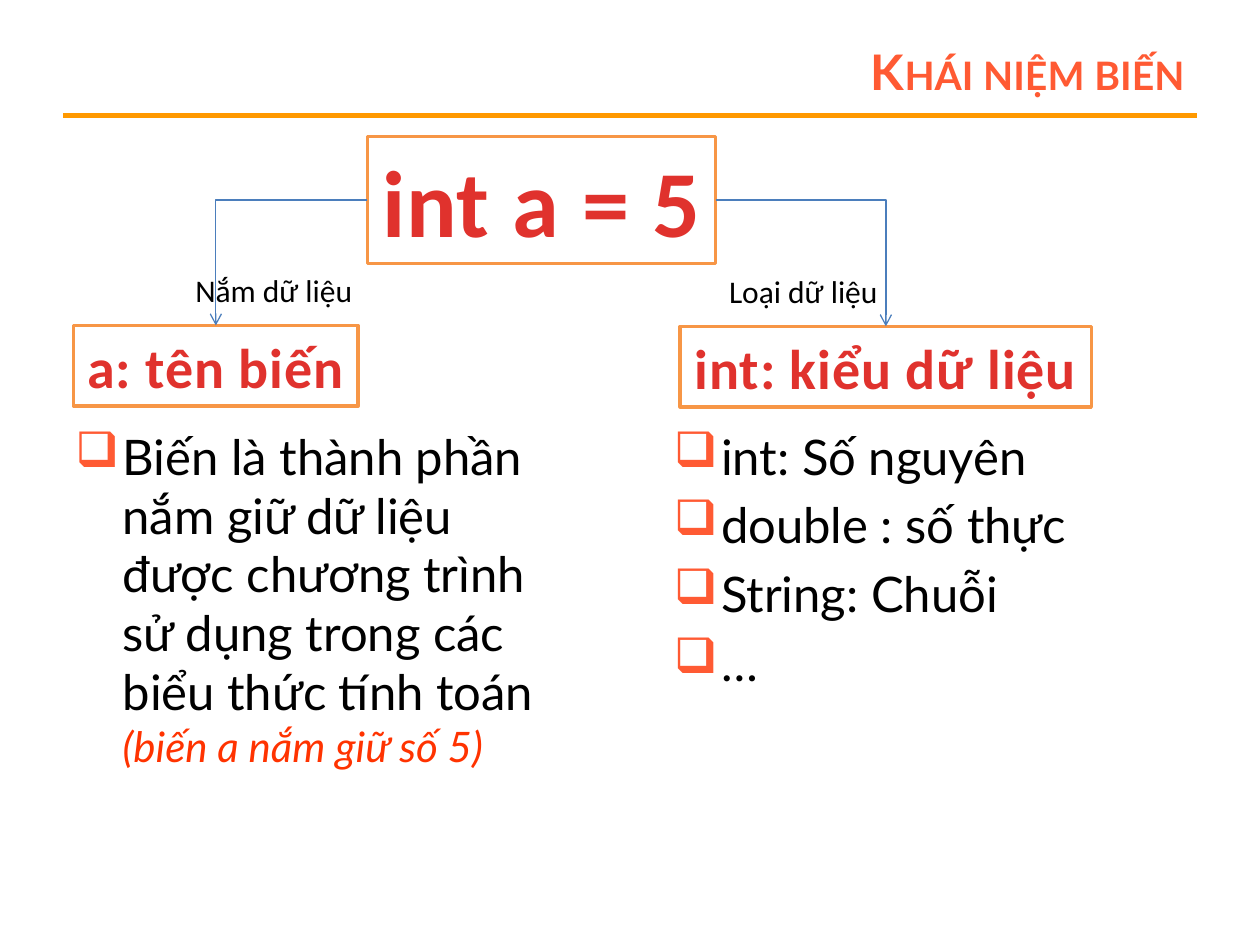
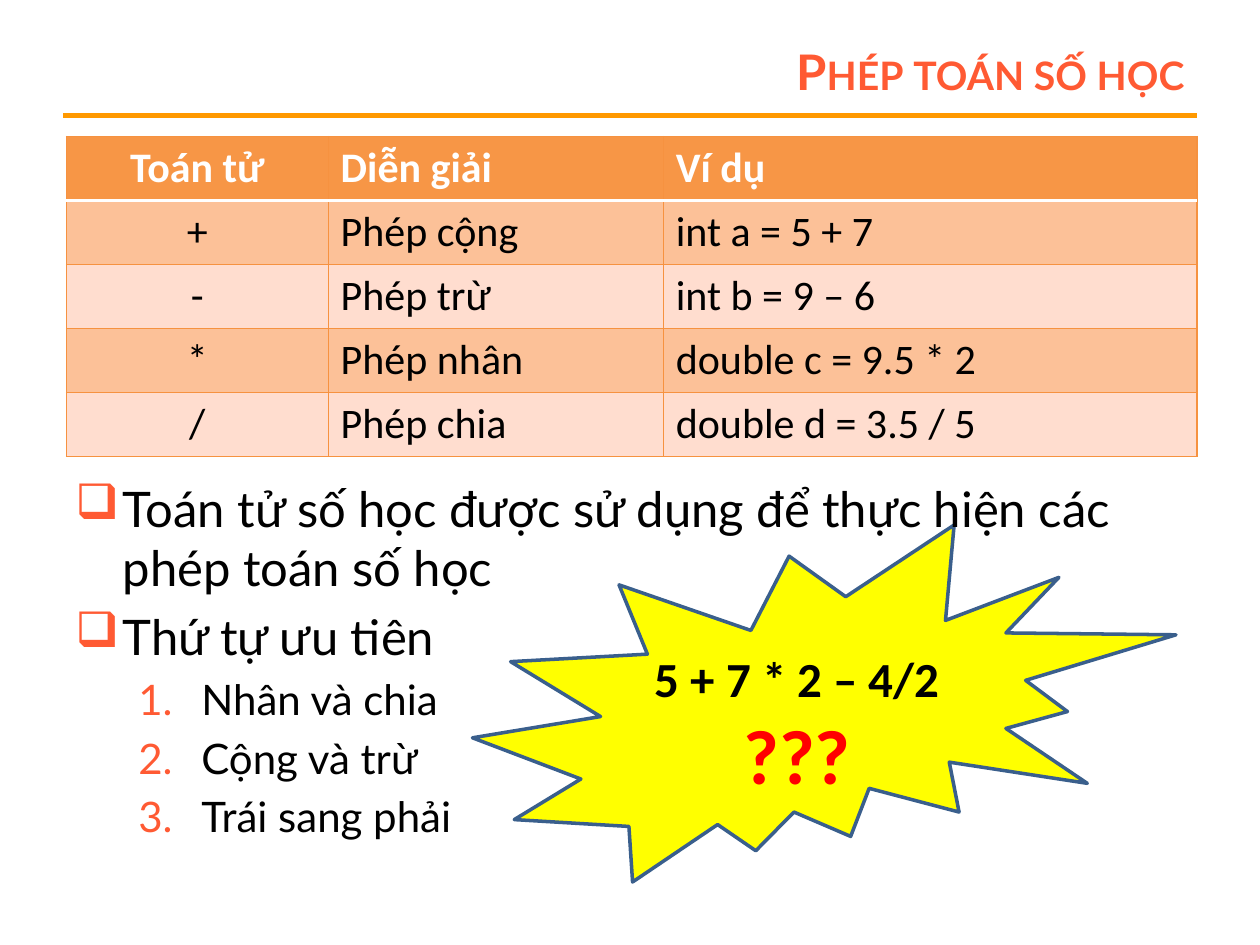
from dataclasses import dataclass
from typing import Any, Optional

import lxml.etree
import pptx
import pptx.dml.color
import pptx.enum.dml
import pptx.enum.shapes
import pptx.enum.text
import pptx.oxml
import pptx.oxml.ns
import pptx.util

Pt = pptx.util.Pt
qn = pptx.oxml.ns.qn
Align = pptx.enum.text.PP_ALIGN
Anchor = pptx.enum.text.MSO_ANCHOR
ShapeType = pptx.enum.shapes.MSO_SHAPE
ConnectorType = pptx.enum.shapes.MSO_CONNECTOR

COLORS = {
    "white": "FFFFFF",
    "black": "000000",
    "accent": "FF5A33",
    "rule": "FF9900",
    "note": "FF3300",
    "orange": "F79646",
    "code_light": "E0322D",
    "code_dark": "A2201C",
    "arrow": "4B7EBC",
    "burst": "FFFF00",
    "burst_line": "3A5F8C",
    "question": "FF0000",
    "grid": "F69240",
    "row_dark": "FCC198",
    "row_light": "FFDDCF",
}
BODY_FONT = "Lato"
BOX_FONT = "Calibri"
BODY_SIZE, SUB_SIZE = 28, 24
LEFT_SITE, RIGHT_SITE, TOP_SITE = 1, 3, 0


@dataclass(frozen=True)
class Area:
    left: float
    top: float
    width: float
    height: float

    def lengths(self) -> list[int]:
        return [Pt(n) for n in (self.left, self.top, self.width, self.height)]


@dataclass(frozen=True)
class Run:
    text: str
    size: float
    font: str = BODY_FONT
    color: str = "black"
    bold: bool = False
    italic: bool = False
    new_line: bool = False


@dataclass(frozen=True)
class Item:
    runs: tuple[Run, ...]
    numbered: bool = False


@dataclass(frozen=True)
class CodeBox:
    text: str
    area: Area
    size: float


def rgb(name: str) -> pptx.dml.color.RGBColor:
    return pptx.dml.color.RGBColor.from_string(COLORS[name])


def format_font(font: Any, style: Run) -> None:
    font.name = style.font
    font.size = Pt(style.size)
    font.bold = style.bold
    font.italic = style.italic
    font.color.rgb = rgb(style.color)


def fill_paragraph(paragraph: Any, runs: tuple[Run, ...]) -> None:
    for style in runs:
        if style.new_line:
            paragraph.add_line_break()
        run = paragraph.add_run()
        run.text = style.text
        format_font(run.font, style)


def add_text(slide: Any, area: Area, runs: tuple[Run, ...],
             align: Any = Align.LEFT, wrap: bool = False) -> Any:
    text_frame = slide.shapes.add_textbox(*area.lengths()).text_frame
    text_frame.word_wrap = wrap
    paragraph = text_frame.paragraphs[0]
    paragraph.alignment = align
    fill_paragraph(paragraph, runs)
    return text_frame


def add_line(slide: Any, kind: Any, ends: tuple[float, ...], color: str, width: float) -> Any:
    connector = slide.shapes.add_connector(kind, *[Pt(n) for n in ends])
    connector.line.color.rgb = rgb(color)
    connector.line.width = Pt(width)
    lxml.etree.SubElement(connector._element.spPr, qn("a:effectLst"))
    return connector


def add_filled_shape(slide: Any, kind: Any, area: Area, fill: str, line: str) -> Any:
    shape = slide.shapes.add_shape(kind, *area.lengths())
    shape.shadow.inherit = False
    shape.fill.solid()
    shape.fill.fore_color.rgb = rgb(fill)
    shape.line.color.rgb = rgb(line)
    shape.line.width = Pt(2)
    return shape


def add_title(slide: Any, title: str) -> None:
    """Add the right-aligned small-caps title and the rule below it."""
    add_line(slide, ConnectorType.STRAIGHT, (36, 66, 684, 66), "rule", 3)
    style = Run(title, 28, color="accent", bold=True)
    text_frame = add_text(slide, Area(162, 21.6, 522, 38), (style,), Align.RIGHT, wrap=True)
    text_frame.vertical_anchor = Anchor.MIDDLE
    text_frame.paragraphs[0].runs[0]._r.get_or_add_rPr().set("cap", "small")


def set_bullet(paragraph: Any, numbered: bool) -> None:
    properties = paragraph._p.get_or_add_pPr()
    margin, indent = (72, -36) if numbered else (27, -27)
    properties.set("marL", str(Pt(margin)))
    properties.set("indent", str(Pt(indent)))
    color = lxml.etree.SubElement(properties, qn("a:buClr"))
    lxml.etree.SubElement(color, qn("a:srgbClr"), val=COLORS["accent"])
    if numbered:
        lxml.etree.SubElement(properties, qn("a:buAutoNum"), type="arabicPeriod")
    else:
        lxml.etree.SubElement(properties, qn("a:buChar"), char="❑")


def add_list(slide: Any, area: Area, items: list[Item]) -> None:
    text_frame = slide.shapes.add_textbox(*area.lengths()).text_frame
    text_frame.word_wrap = True
    for index, item in enumerate(items):
        paragraph = text_frame.add_paragraph() if index else text_frame.paragraphs[0]
        paragraph.level = int(item.numbered)
        paragraph.space_before = Pt(0.2 * item.runs[0].size)
        set_bullet(paragraph, item.numbered)
        fill_paragraph(paragraph, item.runs)


def add_code_box(slide: Any, box: CodeBox) -> Any:
    shape = add_filled_shape(slide, ShapeType.RECTANGLE, box.area, "white", "orange")
    text_frame = shape.text_frame
    text_frame.text = box.text
    text_frame.word_wrap = False
    text_frame.paragraphs[0].alignment = Align.CENTER
    run = text_frame.paragraphs[0].runs[0]
    format_font(run.font, Run(box.text, box.size, BOX_FONT, bold=True))
    run.font.fill.gradient()
    run.font.fill.gradient_angle = 270
    stops = run.font.fill.gradient_stops
    for stop, position, color in zip(stops, (0.25, 1), ("code_light", "code_dark")):
        stop.position = position
        stop.color.rgb = rgb(color)
    run._r.get_or_add_rPr().set("spc", "50")
    return shape


def add_elbow_arrow(slide: Any, source: Any, source_site: int, target: Any) -> None:
    """Join a side of the source to the top of the target with one bend."""
    connector = add_line(slide, ConnectorType.ELBOW, (0, 0, 0, 0), "arrow", 0.75)
    connector.begin_connect(source, source_site)
    connector.end_connect(target, TOP_SITE)
    connector._element.spPr.find(qn("a:prstGeom")).set("prst", "bentConnector2")
    lxml.etree.SubElement(connector.line._get_or_add_ln(), qn("a:tailEnd"), type="arrow")


def set_cell_border(cell: Any, edge: str, color: str, width: float) -> None:
    line = lxml.etree.SubElement(cell._tc.get_or_add_tcPr(), qn(f"a:ln{edge}"), w=str(Pt(width)))
    fill = lxml.etree.SubElement(line, qn("a:solidFill"))
    lxml.etree.SubElement(fill, qn("a:srgbClr"), val=COLORS[color])


def add_operator_table(slide: Any, rows: list[tuple[str, ...]]) -> None:
    widths = (149.5, 191.5, 305)
    row_height = 36.57
    area = Area(38, 78, sum(widths), row_height * len(rows))
    table = slide.shapes.add_table(len(rows), len(widths), *area.lengths()).table
    for column, width in zip(table.columns, widths):
        column.width = Pt(width)
    for row_index, texts in enumerate(rows):
        table.rows[row_index].height = Pt(row_height)
        header = row_index == 0
        fill = "orange" if header else ("row_light", "row_dark")[row_index % 2]
        for column_index, text in enumerate(texts):
            cell = table.cell(row_index, column_index)
            # The white line lies between the header and the first data row.
            white_edge = {0: "B", 1: "T"}.get(row_index)
            for edge in "LRTB":
                border = ("white", 2) if edge == white_edge else ("grid", 0.75)
                set_cell_border(cell, edge, *border)
            cell.fill.solid()
            cell.fill.fore_color.rgb = rgb(fill)
            cell.text_frame.text = text
            paragraph = cell.text_frame.paragraphs[0]
            paragraph.alignment = Align.LEFT if column_index else Align.CENTER
            color = "white" if header else "black"
            format_font(paragraph.runs[0].font, Run(text, 24, BOX_FONT, color, bold=header))


def build_variable_slide(slide: Any) -> None:
    add_title(slide, "Khái niệm biến")
    types = ["int: Số nguyên", "double : số thực", "String: Chuỗi", "…"]
    add_list(slide, Area(378, 240, 330, 276), [Item((Run(text, BODY_SIZE),)) for text in types])
    declaration, name, data_type = [
        add_code_box(slide, box)
        for box in (
            CodeBox("int a = 5", Area(210, 78, 199, 72.7), 54),
            CodeBox("a: tên biến", Area(42, 186, 162.7, 46), 32),
            CodeBox("int: kiểu dữ liệu", Area(388.7, 186.5, 235, 46), 32),
        )
    ]
    definition = ("Biến là thành phần nắm giữ dữ liệu được chương trình "
                  "sử dụng trong các biểu thức tính toán ")
    example = Run("(biến a nắm giữ số 5)", SUB_SIZE, color="note", italic=True)
    add_list(slide, Area(36, 240, 288, 216), [Item((Run(definition, BODY_SIZE), example))])
    add_elbow_arrow(slide, declaration, LEFT_SITE, name)
    add_elbow_arrow(slide, declaration, RIGHT_SITE, data_type)
    add_text(slide, Area(104.5, 151.2, 105, 29), (Run("Nắm dữ liệu", 18, BOX_FONT),))
    add_text(slide, Area(409.5, 151.7, 101, 29), (Run("Loại dữ liệu", 18, BOX_FONT),))


def build_operator_slide(slide: Any) -> None:
    burst = Area(270, 300, 402, 204)
    add_filled_shape(slide, ShapeType.EXPLOSION2, burst, "burst", "burst_line")
    add_title(slide, "Phép toán số học")
    points = ["Toán tử số học được sử dụng để thực hiện các phép toán số học", "Thứ tự ưu tiên"]
    priorities = ["Nhân và chia", "Cộng và trừ", "Trái sang phải"]
    items = [Item((Run(text, BODY_SIZE),)) for text in points]
    items += [Item((Run(text, SUB_SIZE),), numbered=True) for text in priorities]
    add_list(slide, Area(36, 270, 648, 234), items)
    add_operator_table(slide, [
        ("Toán tử", "Diễn giải", "Ví dụ"),
        ("+", "Phép cộng", "int a = 5 + 7"),
        ("-", "Phép trừ", "int b = 9 – 6"),
        ("*", "Phép nhân", "double c = 9.5 * 2"),
        ("/", "Phép chia", "double d = 3.5 / 5"),
    ])
    puzzle = (
        Run("5 + 7 * 2 – 4/2", 28, BOX_FONT, bold=True),
        Run("???", 44, BOX_FONT, "question", bold=True, new_line=True),
    )
    add_text(slide, Area(366, 367, 179, 94.5), puzzle, Align.CENTER)


def main() -> None:
    presentation: Optional[Any] = pptx.Presentation()
    presentation.slide_width = Pt(720)
    presentation.slide_height = Pt(540)
    blank_layout = presentation.slide_layouts[6]
    for build in (build_variable_slide, build_operator_slide):
        build(presentation.slides.add_slide(blank_layout))
    presentation.save("out.pptx")


if __name__ == "__main__":
    main()
